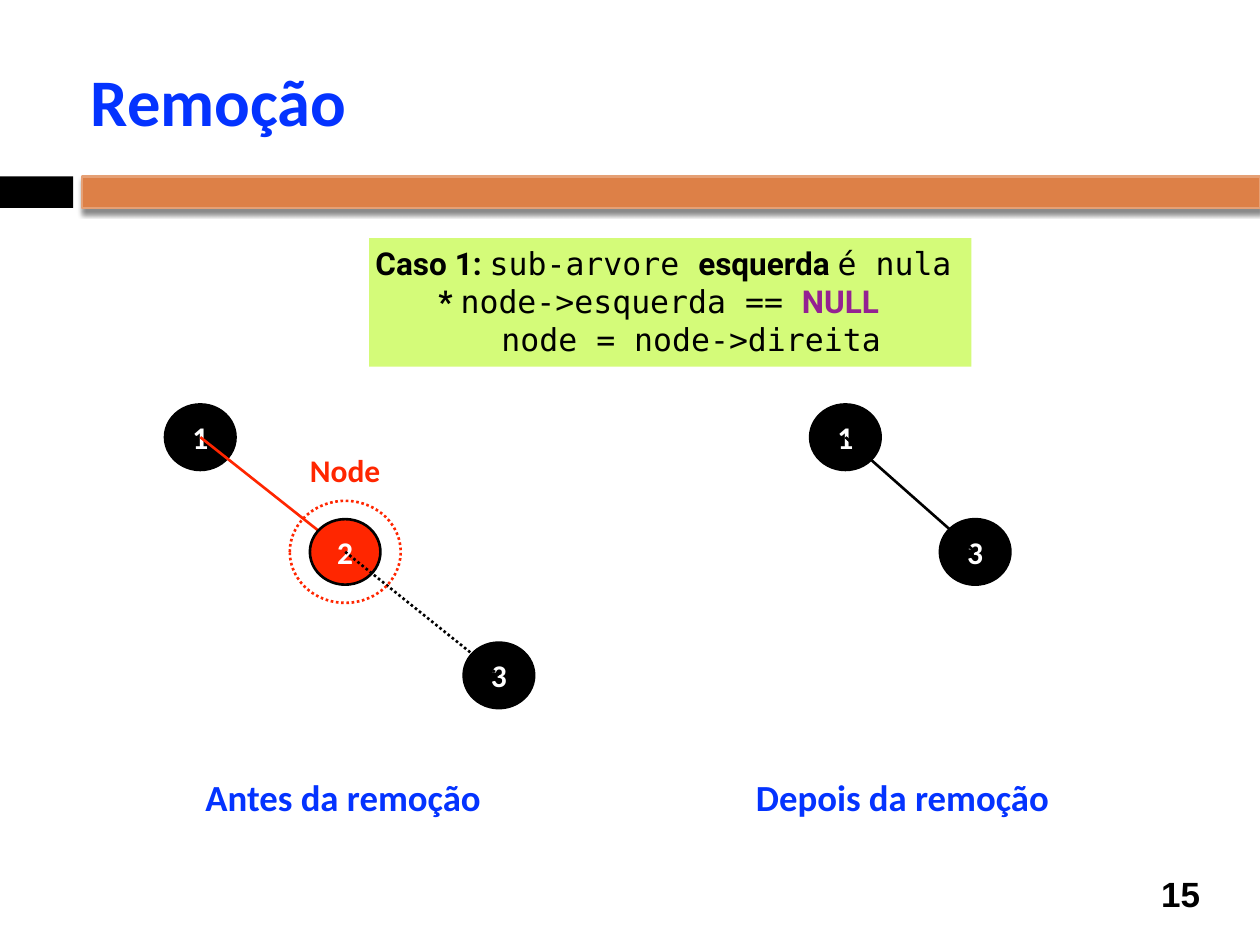
import pptx
import pptx.util
import pptx.dml.color
import pptx.enum.dml
import pptx.enum.shapes
import pptx.enum.text
import pptx.oxml
import pptx.oxml.ns
from dataclasses import dataclass
from lxml import etree

Inches, Pt = pptx.util.Inches, pptx.util.Pt
SHAPE = pptx.enum.shapes.MSO_SHAPE
ALIGN = pptx.enum.text.PP_ALIGN
ANCHOR = pptx.enum.text.MSO_ANCHOR
DOT = pptx.enum.dml.MSO_LINE.ROUND_DOT  # written as sysDot


@dataclass(frozen=True)
class Theme:
    black: str = "000000"
    white: str = "FFFFFF"
    blue: str = "0433FF"
    red: str = "FF2600"
    purple: str = "942192"
    green: str = "D4FB79"
    orange: str = "DD8047"
    orange_edge: str = "E5A075"
    body: str = "Calibri"
    bold: str = "Roboto"
    code: str = "DejaVu Sans Mono"
    number: str = "Arial"
    title_size: int = 38
    caption_size: int = 21
    number_size: int = 20
    text_size: int = 18
    line: float = 1.5


T = Theme()
NODE_W, NODE_H = 0.56, 0.52


def rgb(color):
    return pptx.dml.color.RGBColor.from_string(color)


def set_font(font, color, size=T.text_size, name=T.body, bold=True):
    font.name, font.size, font.bold = name, Pt(size), bold
    font.color.rgb = rgb(color)


def frame(sp, anchor=ANCHOR.TOP, wrap=True):
    tf = sp.text_frame
    tf.margin_left = tf.margin_right = tf.margin_top = tf.margin_bottom = Inches(0.05)
    tf.vertical_anchor, tf.word_wrap = anchor, wrap
    return tf


def add_text(s, box, text, color, size=T.text_size, name=T.body,
             anchor=ANCHOR.TOP, wrap=False, align=ALIGN.LEFT):
    tf = frame(s.shapes.add_textbox(*map(Inches, box)), anchor, wrap)
    p = tf.paragraphs[0]
    p.text, p.alignment = text, align
    set_font(p.font, color, size, name)


def style_line(line, color, dash=None):
    line.color.rgb, line.width = rgb(color), Pt(T.line)
    if dash:
        line.dash_style = dash


def add_shape(s, kind, box, fill=None, edge=None, dash=None):
    sp = s.shapes.add_shape(kind, *map(Inches, box))
    sp.shadow.inherit = False
    if fill:
        sp.fill.solid()
        sp.fill.fore_color.rgb = rgb(fill)
    else:
        sp.fill.background()
    if edge:
        style_line(sp.line, edge, dash)
    else:
        sp.line.fill.background()
    return sp


def add_node(s, x, y, label, fill=T.black):
    sp = add_shape(s, SHAPE.OVAL, (x, y, NODE_W, NODE_H), fill, T.black)
    p = frame(sp, ANCHOR.MIDDLE).paragraphs[0]
    p.text, p.alignment = label, ALIGN.CENTER
    set_font(p.font, T.white)


def add_edge(s, start, end, color, dash=None):
    """Join the centres of two nodes given by their top left corners."""
    points = [Inches(v) for x, y in (start, end)
              for v in (x + NODE_W / 2, y + NODE_H / 2)]
    cn = s.shapes.add_connector(pptx.enum.shapes.MSO_CONNECTOR.STRAIGHT, *points)
    style_line(cn.line, color, dash)
    etree.SubElement(cn._element.spPr, pptx.oxml.ns.qn("a:effectLst"))


def band(s, x, y, w, h):
    black_w, gap = 0.58, 0.07
    add_shape(s, SHAPE.RECTANGLE, (x, y, black_w, h), T.black)
    left = x + black_w + gap
    sp = add_shape(s, SHAPE.RECTANGLE, (left, y, w - left, h), T.orange, T.orange_edge)
    effects = sp._element.spPr.find(pptx.oxml.ns.qn("a:effectLst"))
    effects.append(pptx.oxml.parse_xml(
        f'<a:outerShdw {pptx.oxml.ns.nsdecls("a")} blurRad="{Pt(3)}" dist="{Pt(2.4)}" '
        f'dir="5400000" rotWithShape="0"><a:srgbClr val="{T.black}">'
        '<a:alpha val="45000"/></a:srgbClr></a:outerShdw>'))


def case_box(s, x, y, w, h):
    bold, code = (T.black, T.bold, True), (T.black, T.code, False)
    lines = [
        [("Caso 1: ", bold), ("sub-arvore ", code), ("esquerda ", bold), ("é nula", code)],
        [("* ", bold), ("node->esquerda == ", code), ("NULL", (T.purple, T.bold, True))],
        [("node = node->direita", code)],
    ]
    tf = frame(add_shape(s, SHAPE.RECTANGLE, (x, y, w, h), T.green))
    for level, runs in enumerate(lines):
        p = tf.add_paragraph() if level else tf.paragraphs[0]
        p.alignment, p.level = ALIGN.LEFT, level
        pPr = p._p.get_or_add_pPr()
        pPr.set("marL", str(Inches(0.5 * level)))
        pPr.set("indent", "0")
        for text, (color, name, is_bold) in runs:
            r = p.add_run()
            r.text = text
            set_font(r.font, color, name=name, bold=is_bold)


def tree_before(s, x, y, w, h):
    root = (x, y)
    removed = (x + 1.15, y + 0.91)
    leaf = (x + w - NODE_W, y + h - NODE_H)
    add_node(s, *root, "1")
    add_edge(s, removed, root, T.red)
    add_node(s, *removed, "2", T.red)
    add_node(s, *leaf, "3")
    add_edge(s, removed, leaf, T.black, DOT)
    # Ring and label of the node to remove
    ring_w, ring_h = 0.88, 0.81
    ring = (removed[0] + (NODE_W - ring_w) / 2, removed[1] + (NODE_H - ring_h) / 2,
            ring_w, ring_h)
    add_shape(s, SHAPE.OVAL, ring, edge=T.red, dash=DOT)
    add_text(s, (x + 1.1, y + 0.32, 0.67, 0.36), "Node", T.red)


def tree_after(s, x, y, w, h):
    root, leaf = (x, y), (x + w - NODE_W, y + h - NODE_H)
    add_node(s, *root, "1")
    add_node(s, *leaf, "3")
    add_edge(s, leaf, root, T.black)


def main():
    prs = pptx.Presentation()
    prs.slide_width, prs.slide_height = Inches(10), Inches(7.5)
    s = prs.slides.add_slide(prs.slide_layouts[6])

    # Header and slide number
    band(s, 0, 1.4, 10, 0.25)
    add_text(s, (9.08, 6.89, 0.58, 0.41), "15", T.black, T.number_size, T.number,
             ANCHOR.MIDDLE, True, ALIGN.CENTER)
    add_text(s, (0.67, 0.25, 8.92, 1.08), "Remoção", T.blue, T.title_size,
             anchor=ANCHOR.MIDDLE, wrap=True)

    # Rule and the two trees
    case_box(s, 2.93, 1.89, 4.78, 1.02)
    tree_before(s, 1.31, 3.21, 2.93, 2.41)
    tree_after(s, 6.43, 3.21, 1.59, 1.43)

    # Captions
    for x, w, text in ((1.58, 2.32, "Antes da remoção"), (5.95, 2.46, "Depois da remoção")):
        add_text(s, (x, 6.1, w, 0.42), text, T.blue, T.caption_size)

    prs.save("out.pptx")


if __name__ == "__main__":
    main()
